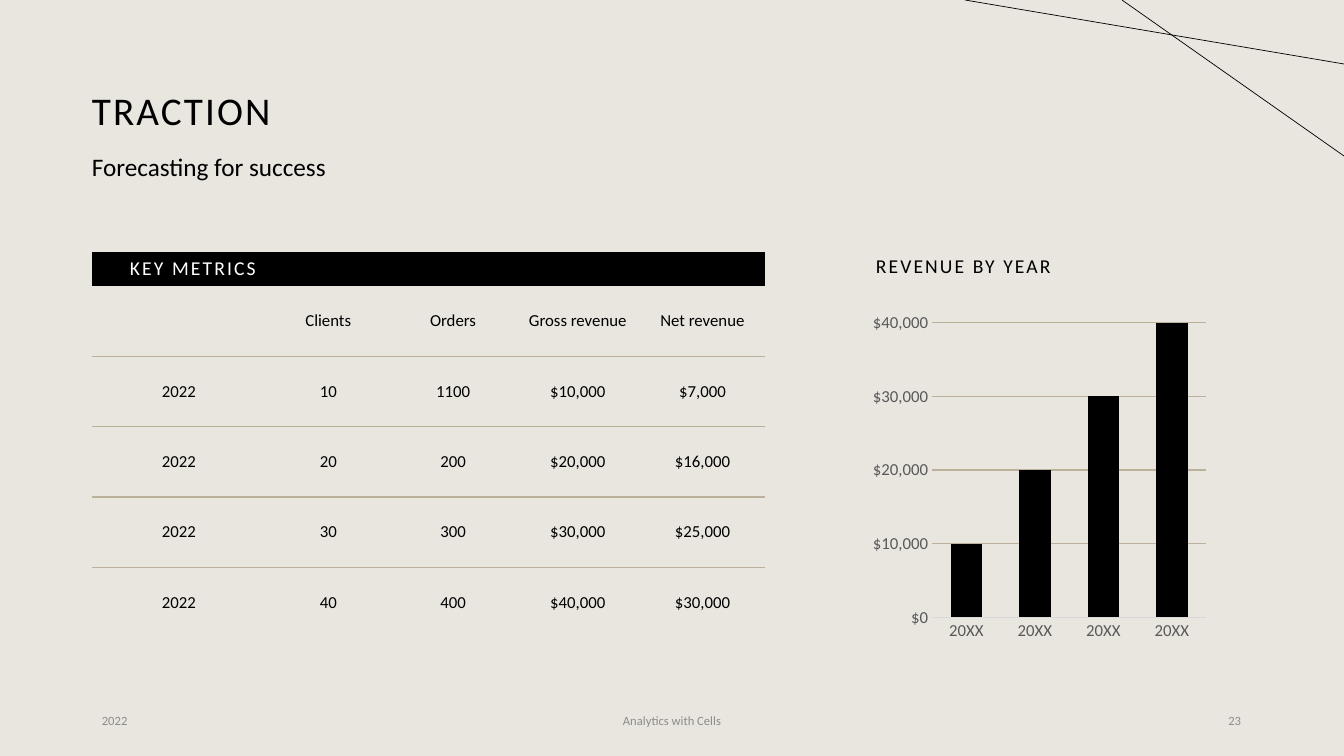
from lxml.etree import SubElement as Sub
from pptx import Presentation
from pptx.chart.data import CategoryChartData as Data
from pptx.dml.color import RGBColor
from pptx.enum.chart import XL_CHART_TYPE as Kind, XL_TICK_MARK as Tick
from pptx.enum.shapes import MSO_CONNECTOR as Link
from pptx.enum.text import MSO_ANCHOR as Anchor, PP_ALIGN as Align
from pptx.oxml import parse_xml
from pptx.oxml.ns import nsdecls, qn
from pptx.util import Pt

SCALE = 914400 / 100.8
PLAIN = "{2D5ABB26-0587-4C30-8999-92F81FD0307C}"


def px(n):
    return round(n * SCALE)


def tint(code):
    return RGBColor.from_string(code)


class Deck:
    font = "Calibri"
    ink, paper, sand = "000000", "E9E6DF", "BBB19B"
    gray, pale, mute = "595959", "D9D9D9", "8C8C8C"

    def __init__(self, wide, high):
        self.prs = Presentation()
        self.prs.slide_width, self.prs.slide_height = px(wide), px(high)
        self.page = self.prs.slides.add_slide(self.prs.slide_layouts[6])
        self.shapes = self.page.shapes
        fill = self.page.background.fill
        fill.solid()
        fill.fore_color.rgb = tint(self.paper)

    def style(self, font, size, color):
        font.name, font.size = self.font, Pt(size)
        font.color.rgb = tint(color)

    def label(self, frame, text, size, color, align=Align.LEFT, gap=0):
        """Put one styled paragraph in a frame; gap is letter spacing in points."""
        frame.text = text
        para = frame.paragraphs[0]
        para.alignment = align
        for run in para.runs:
            self.style(run.font, size, color)
            if gap:
                run._r.get_or_add_rPr().set("spc", str(int(gap * 100)))
        return para

    def text(self, box, text, size, color=ink, align=Align.LEFT, gap=0,
             anchor=Anchor.MIDDLE, lead=1.0):
        frame = self.shapes.add_textbox(*map(px, box)).text_frame
        frame.word_wrap = True
        frame.vertical_anchor = anchor
        self.label(frame, text, size, color, align, gap).line_spacing = lead

    def line(self, start, end):
        link = self.shapes.add_connector(Link.STRAIGHT, *map(px, start + end))
        link.line.color.rgb = tint(self.ink)
        link.line.width = Pt(0.5)
        Sub(link._element.spPr, qn("a:effectLst"))

    def rule(self, cell):
        """Draw the bottom border of a table cell."""
        edge = parse_xml(
            f'<a:lnB {nsdecls("a")} w="12700"><a:solidFill>'
            f'<a:srgbClr val="{self.sand}"/></a:solidFill></a:lnB>')
        cell._tc.get_or_add_tcPr().insert(0, edge)

    def table(self, box, title, rows, head, first):
        """A dark title bar over ruled rows of equal height."""
        wide, high = box[2:]
        count, span = len(rows), len(rows[0])
        grid = self.shapes.add_table(count + 1, span, *map(px, box)).table
        grid.first_row = grid.horz_banding = False
        grid._tbl.tblPr.find(qn("a:tableStyleId")).text = PLAIN
        for i, col in enumerate(grid.columns):
            col.width = px((wide - first) / (span - 1) if i else first)
        for i, row in enumerate(grid.rows):
            row.height = px((high - head) / count if i else head)

        for cell in grid.rows[0].cells:
            cell.fill.solid()
            cell.fill.fore_color.rgb = tint(self.ink)
            cell.margin_top = cell.margin_bottom = 0
            cell.vertical_anchor = Anchor.MIDDLE
        self.label(grid.cell(0, 0).text_frame, title, 14, "FFFFFF",
                   Align.RIGHT, 1.5)

        for r, row in enumerate(rows, 1):
            for c, word in enumerate(row):
                cell = grid.cell(r, c)
                cell.fill.background()
                cell.vertical_anchor = Anchor.MIDDLE
                self.label(cell.text_frame, word, 12, self.ink, Align.CENTER)
                if r < count:
                    self.rule(cell)

    def chart(self, box, names, vals, top, step):
        data = Data()
        data.categories = names
        data.add_series("Series 1", vals)
        chart = self.shapes.add_chart(
            Kind.COLUMN_CLUSTERED, *map(px, box), data).chart
        chart.has_title = chart.has_legend = False
        self.style(chart.font, 12, self.gray)

        plot = chart.plots[0]
        plot.gap_width, plot.overlap = 118, -3
        plot.vary_by_categories = False
        fill = plot.series[0].format.fill
        fill.solid()
        fill.fore_color.rgb = tint(self.ink)

        cat, val = chart.category_axis, chart.value_axis
        for axis in (cat, val):
            axis.major_tick_mark = axis.minor_tick_mark = Tick.NONE
            self.style(axis.tick_labels.font, 12, self.gray)
        val.minimum_scale, val.maximum_scale, val.major_unit = 0, top, step
        val.tick_labels.number_format = "[$$-409]#,##0"
        val.tick_labels.number_format_is_linked = False
        val.format.line.fill.background()
        for line, color in ((cat.format.line, self.pale),
                            (val.major_gridlines.format.line, self.sand)):
            line.color.rgb = tint(color)
            line.width = Pt(0.75)


def main():
    deck = Deck(1344, 756)

    # Headings
    deck.text((82, 40, 1169, 146), "TRACTION", 28, gap=1.5, lead=0.9)
    deck.text((82, 150, 746, 54), "Forecasting for success", 18,
              anchor=Anchor.TOP, lead=0.9)

    # Key metrics
    rows = [
        ("", "Clients", "Orders", "Gross revenue", "Net revenue"),
        ("2022", "10", "1100", "$10,000", "$7,000"),
        ("2022", "20", "200", "$20,000", "$16,000"),
        ("2022", "30", "300", "$30,000", "$25,000"),
        ("2022", "40", "400", "$40,000", "$30,000"),
    ]
    deck.table((92, 252, 673, 386), "KEY METRICS", rows, head=34, first=174)

    # Revenue chart
    deck.text((866, 252, 347, 34), "REVENUE BY YEAR", 14, gap=1.5,
              anchor=Anchor.TOP, lead=0.9)
    deck.chart((866, 306, 347, 342), ["20XX"] * 4,
               (10000, 20000, 30000, 40000), top=40000, step=10000)

    # Footer
    for left, wide, word, align in (
            (92, 302, "2022", Align.LEFT),
            (445, 454, "Analytics with Cells", Align.CENTER),
            (949, 302, "23", Align.RIGHT)):
        deck.text((left, 701, wide, 40), word, 9, deck.mute, align)

    # Corner lines
    deck.line((1122, 0), (1344, 156))
    deck.line((965, 0), (1344, 64))

    deck.prs.save("out.pptx")


if __name__ == "__main__":
    main()
